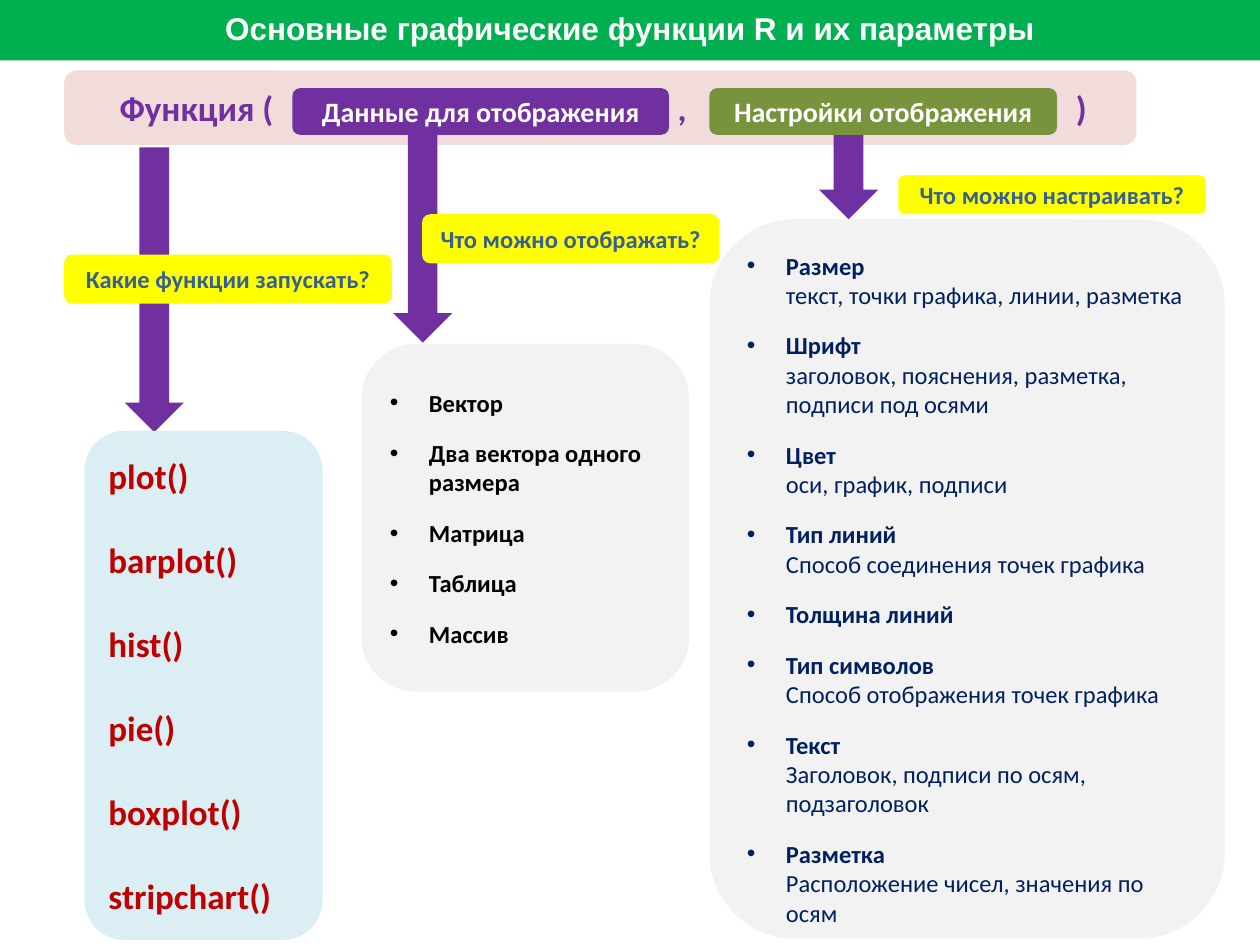
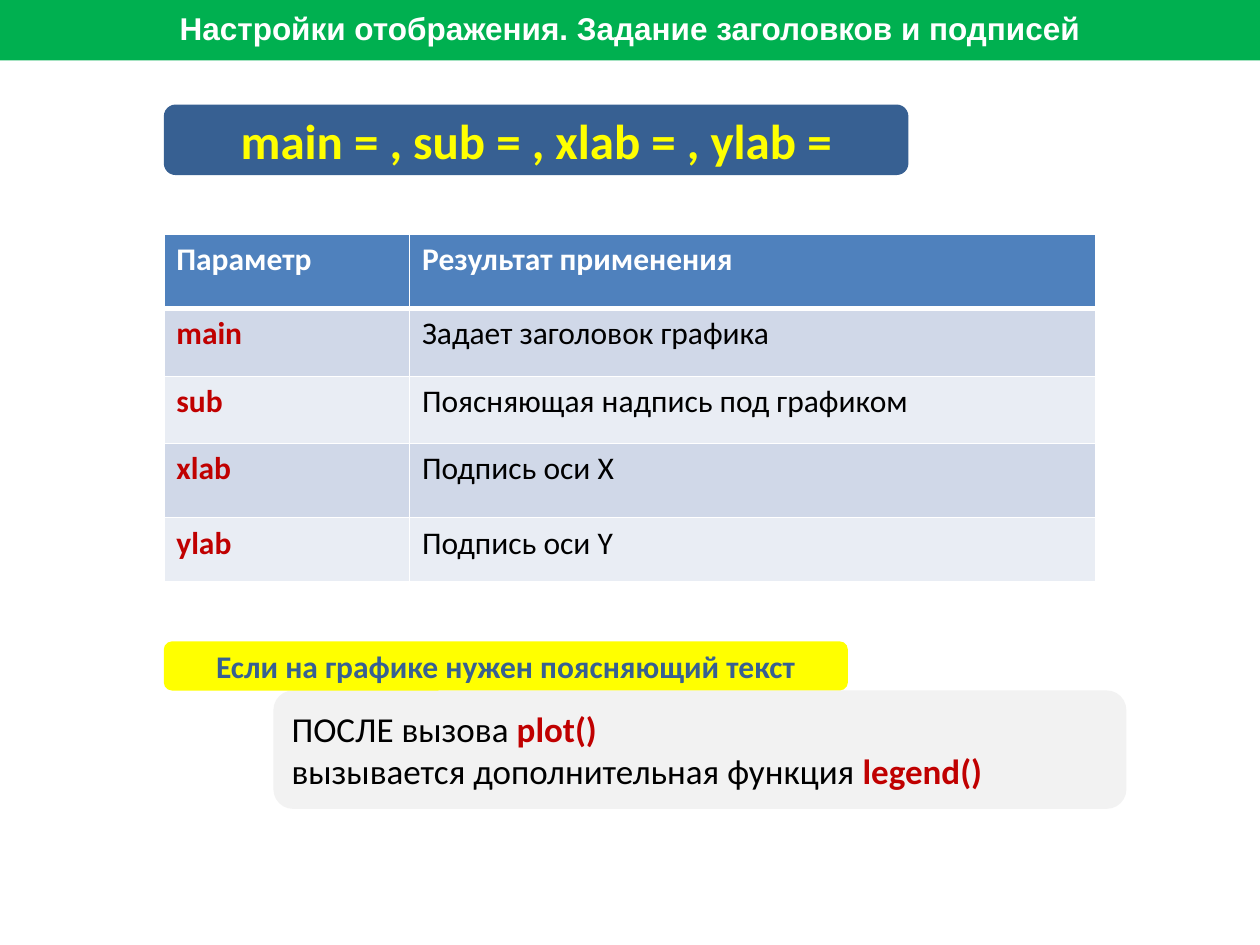
import pptx
import pptx.util
import pptx.dml.color
import pptx.enum.shapes
import pptx.enum.text
import pptx.oxml
import pptx.oxml.ns

Inches = pptx.util.Inches
Pt = pptx.util.Pt
SHAPE = pptx.enum.shapes.MSO_SHAPE
ALIGN = pptx.enum.text.PP_ALIGN
ANCHOR = pptx.enum.text.MSO_ANCHOR

GREEN, PURPLE, OLIVE, YELLOW = "00B050", "7030A0", "77933C", "FFFF00"
BLUE, NAVY, RED, GRAY = "376092", "002060", "C00000", "F2F2F2"
PINK, PALE_BLUE, WHITE, BLACK = "F2DCDB", "DBEEF4", "FFFFFF", "000000"
HEADER_BLUE, ROW_TINTS = "4F81BD", ("D0D8E8", "E9EDF4")


def color(value):
    return pptx.dml.color.RGBColor.from_string(value)


def add_xml(parent, markup):
    namespace = pptx.oxml.ns.nsdecls("a")
    parent.append(pptx.oxml.parse_xml(markup.replace(" ", f" {namespace} ", 1)))


def write(frame, text, size=14, ink=BLACK, bold=False, font="Calibri",
          align=ALIGN.LEFT, before=0, bullet=False, tabs=()):
    """Text is a list of paragraphs; a paragraph is a string or (string, ink, bold) pieces."""
    frame.word_wrap = True
    for index, content in enumerate(text):
        paragraph = frame.add_paragraph() if index else frame.paragraphs[0]
        paragraph.alignment = align
        paragraph.space_before = Pt(before)
        properties = paragraph._p.get_or_add_pPr()
        if bullet:
            properties.set("marL", str(Inches(0.31)))
            properties.set("indent", str(-Inches(0.31)))
            add_xml(properties, '<a:buFont typeface="Arial"/>')
            add_xml(properties, '<a:buChar char="•"/>')
        if tabs:
            stops = "".join(f'<a:tab pos="{Inches(stop)}" algn="l"/>' for stop in tabs)
            add_xml(properties, f"<a:tabLst >{stops}</a:tabLst>")
        pieces = [(content, ink, bold)] if isinstance(content, str) else content
        for piece, piece_ink, piece_bold in pieces:
            for line_number, line in enumerate(piece.split("\n")):
                if line_number:
                    paragraph.add_line_break()
                if line:
                    run = paragraph.add_run()
                    run.text = line
                    run.font.name = font
                    run.font.size = Pt(size)
                    run.font.bold = piece_bold
                    run.font.color.rgb = color(piece_ink)


class Deck:
    def __init__(self):
        self.presentation = pptx.Presentation()
        self.presentation.slide_width = Inches(10)
        self.presentation.slide_height = Inches(7.5)
        self.slide = None

    def new_slide(self, title):
        self.slide = self.presentation.slides.add_slide(self.presentation.slide_layouts[6])
        band = self.shape(SHAPE.RECTANGLE, 0, -0.03, 10, 0.51, GREEN)
        write(band.text_frame, [title], size=18, ink=WHITE, bold=True,
              font="Arial", align=ALIGN.CENTER)

    def shape(self, kind, left, top, width, height, fill):
        shape = self.slide.shapes.add_shape(
            kind, Inches(left), Inches(top), Inches(width), Inches(height))
        shape.shadow.inherit = False
        shape.fill.solid()
        shape.fill.fore_color.rgb = color(fill)
        shape.line.fill.background()
        shape.text_frame.vertical_anchor = ANCHOR.MIDDLE
        return shape

    def panel(self, left, top, width, height, fill, text, **text_format):
        panel = self.shape(SHAPE.ROUNDED_RECTANGLE, left, top, width, height, fill)
        write(panel.text_frame, text, **text_format)
        return panel

    def label(self, left, top, width, height, text, fill=YELLOW, ink=BLUE, size=14):
        self.panel(left, top, width, height, fill, [text], size=size, ink=ink,
                   bold=True, align=ALIGN.CENTER)

    def arrow(self, left, top, height):
        self.shape(SHAPE.DOWN_ARROW, left, top, 0.47, height, PURPLE)

    def table(self, left, top, widths, heights, rows):
        table = self.slide.shapes.add_table(
            len(rows), len(widths), Inches(left), Inches(top),
            Inches(sum(widths)), Inches(sum(heights))).table
        for column, width in zip(table.columns, widths):
            column.width = Inches(width)
        for row_index, (row, height) in enumerate(zip(rows, heights)):
            table.rows[row_index].height = Inches(height)
            for column_index, text in enumerate(row):
                header = row_index == 0
                cell = table.cell(row_index, column_index)
                self.cell_borders(cell, top=3 if row_index == 1 else 1,
                                  bottom=3 if header else 1)
                cell.fill.solid()
                cell.fill.fore_color.rgb = color(
                    HEADER_BLUE if header else ROW_TINTS[(row_index - 1) % 2])
                ink = WHITE if header else (RED, BLACK)[column_index]
                write(cell.text_frame, [text], size=18, ink=ink,
                      bold=header or column_index == 0)

    def cell_borders(self, cell, top, bottom):
        properties = cell._tc.get_or_add_tcPr()
        for side, width in (("L", 1), ("R", 1), ("T", top), ("B", bottom)):
            add_xml(properties, f'<a:ln{side} w="{Pt(width)}"><a:solidFill>'
                                f'<a:srgbClr val="{WHITE}"/></a:solidFill></a:ln{side}>')


def build_functions_slide(deck):
    deck.new_slide("Основные графические функции R и их параметры")

    # Display settings
    settings = [
        ("Размер", "текст, точки графика, линии, разметка"),
        ("Шрифт", "заголовок, пояснения, разметка, подписи под осями"),
        ("Цвет", "оси, график, подписи"),
        ("Тип линий", "Способ соединения точек графика"),
        ("Толщина линий", ""),
        ("Тип символов", "Способ отображения точек графика"),
        ("Текст", "Заголовок, подписи по осям, подзаголовок"),
        ("Разметка", "Расположение чисел, значения по осям"),
    ]
    paragraphs = [[(name, NAVY, True)] + ([("\n" + detail, NAVY, False)] if detail else [])
                  for name, detail in settings]
    settings_panel = deck.panel(5.63, 1.74, 4.09, 5.71, GRAY, paragraphs,
                                before=12, bullet=True)
    settings_panel.text_frame.vertical_anchor = ANCHOR.TOP

    # Call pattern: function, data, settings
    call_bar = deck.panel(0.51, 0.56, 8.51, 0.59, PINK, ["Функция (\t,\t)"], size=20,
                          ink=PURPLE, bold=True, tabs=(4.43, 7.59))
    call_bar.text_frame.margin_left = Inches(0.41)
    deck.arrow(6.5, 1.05, 0.69)

    # Data that can be shown
    deck.panel(2.87, 2.73, 2.6, 2.76, GRAY,
               ["Вектор", "Два вектора одного размера", "Матрица", "Таблица", "Массив"],
               bold=True, before=12, bullet=True)
    deck.label(5.63, 0.7, 2.76, 0.37, "Настройки отображения", OLIVE, WHITE, 16)
    deck.label(2.32, 0.7, 2.99, 0.37, "Данные для отображения", PURPLE, WHITE, 16)
    deck.arrow(3.12, 1.05, 1.67)
    deck.label(7.13, 1.39, 2.44, 0.31, "Что можно настраивать?")

    # Plotting functions
    deck.arrow(0.99, 1.17, 2.26)
    deck.panel(0.67, 3.42, 1.89, 4.04, PALE_BLUE,
               ["plot()", "barplot()", "hist()", "pie()", "boxplot()", "stripchart()"],
               size=20, ink=RED, bold=True, before=24)
    deck.label(0.51, 2.02, 2.6, 0.39, "Какие функции запускать?")
    deck.label(3.35, 1.7, 2.36, 0.39, "Что можно отображать?")


def build_titles_slide(deck):
    deck.new_slide("Настройки отображения. Задание заголовков и подписей")

    # Parameters
    deck.table(1.3, 1.86, (1.95, 5.45), (0.59, 0.54, 0.53, 0.59, 0.51), [
        ("Параметр", "Результат применения"),
        ("main", "Задает заголовок графика"),
        ("sub", "Поясняющая надпись под графиком"),
        ("xlab", "Подпись оси Х"),
        ("ylab", "Подпись оси Y"),
    ])

    # Legend hint
    deck.panel(2.17, 5.48, 6.77, 0.94, GRAY, [[
        ("ПОСЛЕ вызова ", BLACK, False), ("plot()\n", RED, True),
        ("вызывается дополнительная функция ", BLACK, False), ("legend()", RED, True),
    ]], size=20)
    deck.label(1.3, 5.09, 5.43, 0.39, "Если на графике нужен поясняющий текст", size=18)

    # Argument list
    deck.label(1.3, 0.83, 5.91, 0.56, "main = , sub = , xlab = , ylab =", BLUE, YELLOW, 28)


def main():
    deck = Deck()
    build_functions_slide(deck)
    build_titles_slide(deck)
    deck.presentation.save("out.pptx")


if __name__ == "__main__":
    main()
